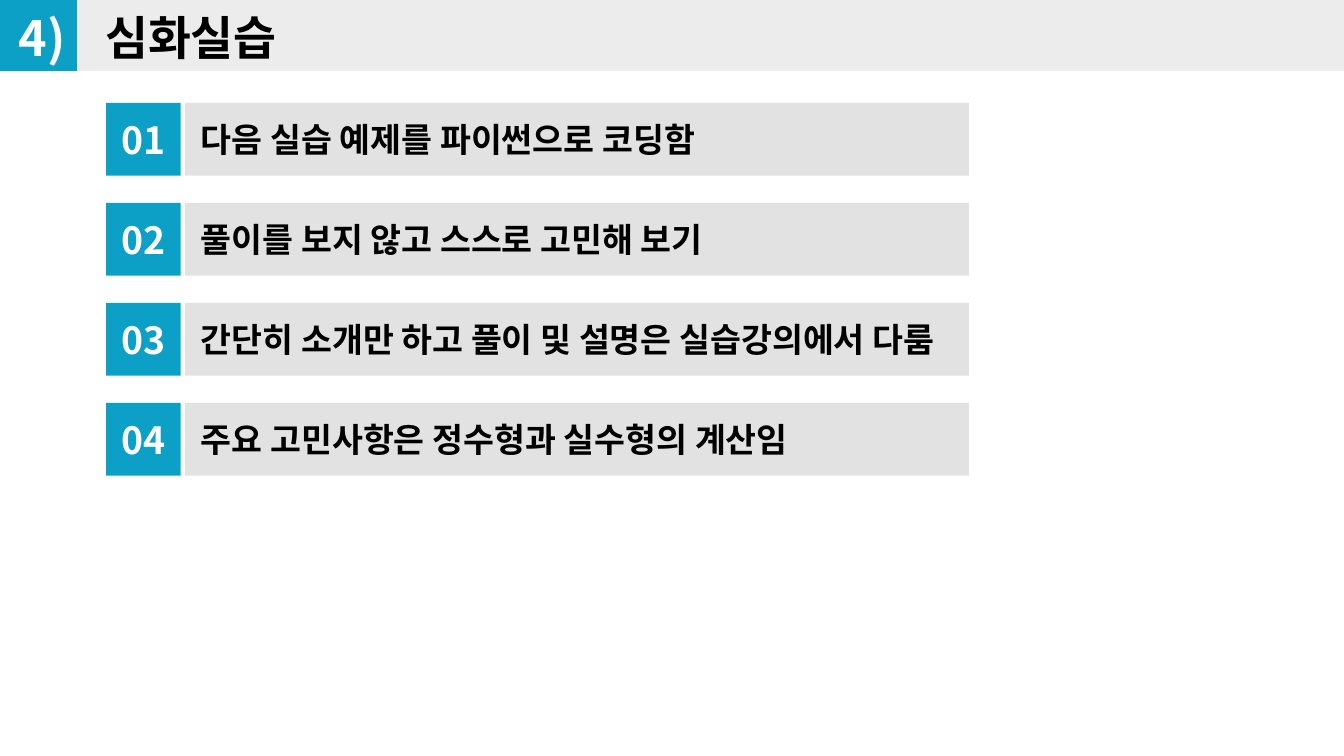
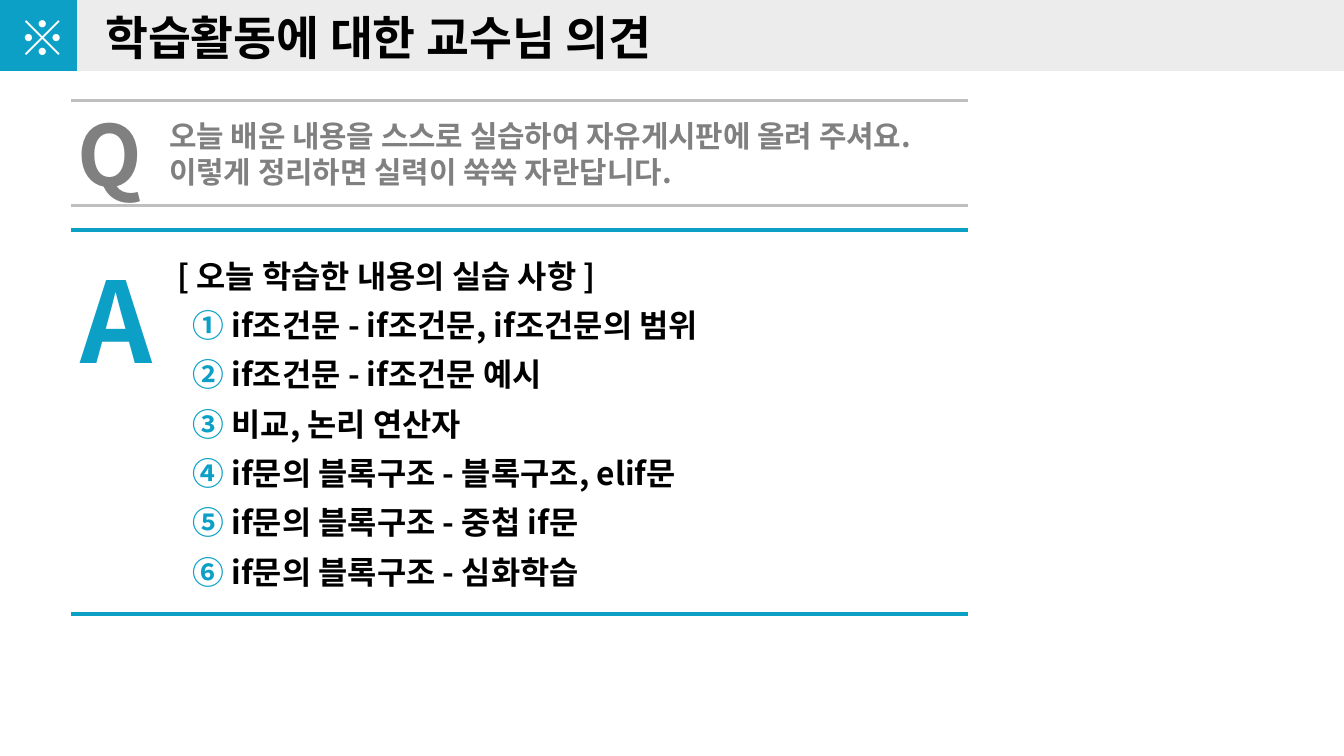
from lxml import etree
from pptx import Presentation
from pptx.dml.color import RGBColor
from pptx.enum import shapes, text
from pptx.oxml.ns import qn
from pptx.util import Pt

FONT = "Noto Sans CJK KR"
TEAL = RGBColor(0x0C, 0xA0, 0xC7)
BAND_GRAY = RGBColor(0xEC, 0xEC, 0xEC)
BAR_GRAY = RGBColor(0xE2, 0xE2, 0xE2)
RULE_GRAY = RGBColor(0xBF, 0xBF, 0xBF)
QUESTION_GRAY = RGBColor(0x80, 0x80, 0x80)
BLACK = RGBColor(0, 0, 0)
WHITE = RGBColor(0xFF, 0xFF, 0xFF)
LEFT, CENTER = text.PP_ALIGN.LEFT, text.PP_ALIGN.CENTER
TOP, MIDDLE = text.MSO_ANCHOR.TOP, text.MSO_ANCHOR.MIDDLE


def write(shape, *lines, size, color=BLACK, align=LEFT, anchor=TOP, inset=(10, 5), numbered_from=None):
    """Fill a shape with one paragraph per line; number those from the given index on."""
    frame = shape.text_frame
    frame.word_wrap = True
    frame.auto_size = text.MSO_AUTO_SIZE.NONE
    frame.vertical_anchor = anchor
    frame.margin_left = frame.margin_right = Pt(inset[0])
    frame.margin_top = frame.margin_bottom = Pt(inset[1])
    for i, line in enumerate(lines):
        para = frame.add_paragraph() if i else frame.paragraphs[0]
        para.text = line
        para.alignment = align
        if i:
            para.space_before = Pt(6)
        if numbered_from is not None and i >= numbered_from:
            props = para._p.get_or_add_pPr()
            props.set("marL", str(Pt(29)))
            props.set("indent", str(-Pt(21)))
            bullet_color = etree.SubElement(props, qn("a:buClr"))
            etree.SubElement(bullet_color, qn("a:srgbClr"), val=str(TEAL))
            etree.SubElement(props, qn("a:buAutoNum"), type="circleNumDbPlain")
        for run in para.runs:
            run.font.name = FONT
            run.font.size = Pt(size)
            run.font.bold = True
            run.font.color.rgb = color
            etree.SubElement(run._r.get_or_add_rPr(), qn("a:ea"), typeface=FONT)


def add_block(slide, x, y, w, h, fill):
    block = slide.shapes.add_shape(shapes.MSO_SHAPE.RECTANGLE, Pt(x), Pt(y), Pt(w), Pt(h))
    block.shadow.inherit = False
    block.fill.solid()
    block.fill.fore_color.rgb = fill
    block.line.fill.background()
    return block


prs = Presentation()
prs.slide_width, prs.slide_height = Pt(720), Pt(405)
title_only = prs.slide_layouts[5]

# Header: band, marker block, title and marker on every slide
slides = []
for marker, heading in [("4)", "심화실습"), ("※", "학습활동에 대한 교수님 의견")]:
    slide = prs.slides.add_slide(title_only)
    add_block(slide, 41, -0.5, 679, 38.5, BAND_GRAY)
    add_block(slide, -0.5, -0.5, 41.75, 38.5, TEAL)
    title = slide.shapes.title
    title.left, title.top, title.width, title.height = Pt(46.4), Pt(0), Pt(642), Pt(40)
    write(title, heading, size=25)
    title.element.getparent().append(title.element)  # in front of the band
    marker_box = slide.shapes.add_textbox(Pt(-1), Pt(-0.5), Pt(47.5), Pt(41.5))
    write(marker_box, marker, size=26, color=WHITE, align=CENTER)
    slides.append(slide)
practice, opinion = slides

# Practice steps
steps = [
    "다음 실습 예제를 파이썬으로 코딩함",
    "풀이를 보지 않고 스스로 고민해 보기",
    "간단히 소개만 하고 풀이 및 설명은 실습강의에서 다룸",
    "주요 고민사항은 정수형과 실수형의 계산임",
]
for i, step in enumerate(steps):
    y = 55.2 + i * 53.57
    number = add_block(practice, 56.8, y, 40, 39, TEAL)
    write(number, f"{i + 1:02}", size=20, color=WHITE, align=CENTER, anchor=MIDDLE, inset=(7.2, 3.6))
    bar = add_block(practice, 99, y, 420, 39, BAR_GRAY)
    write(bar, step, size=18, anchor=MIDDLE, inset=(8.6, 3.6))

# Rules around the question and the answer
for y, color, width in [(53.8, RULE_GRAY, 1.5), (110.3, RULE_GRAY, 1.5),
                        (123.2, TEAL, 2.25), (328.9, TEAL, 2.25)]:
    rule = opinion.shapes.add_connector(shapes.MSO_CONNECTOR.STRAIGHT, Pt(38), Pt(y), Pt(518.5), Pt(y))
    rule.line.color.rgb = color
    rule.line.width = Pt(width)
    etree.SubElement(rule.element.spPr, qn("a:effectLst"))

# Question and answer
letter_q = opinion.shapes.add_textbox(Pt(31.7), Pt(49.7), Pt(53.3), Pt(65))
write(letter_q, "Q", size=45, color=QUESTION_GRAY)
question = opinion.shapes.add_textbox(Pt(80.6), Pt(57.6), Pt(447), Pt(49))
write(question, "오늘 배운 내용을 스스로 실습하여 자유게시판에 올려 주셔요.\v이렇게 정리하면 실력이 쑥쑥 자란답니다.",
      size=16, color=QUESTION_GRAY, anchor=MIDDLE)
letter_a = opinion.shapes.add_textbox(Pt(33), Pt(129.6), Pt(57.6), Pt(83))
write(letter_a, "A", size=60, color=TEAL)
answer = opinion.shapes.add_textbox(Pt(85), Pt(132.5), Pt(434), Pt(191))
write(answer,
      "[ 오늘 학습한 내용의 실습 사항 ]",
      "if조건문 - if조건문, if조건문의 범위",
      "if조건문 - if조건문 예시",
      "비교, 논리 연산자",
      "if문의 블록구조 - 블록구조, elif문",
      "if문의 블록구조 - 중첩 if문",
      "if문의 블록구조 - 심화학습",
      size=17, numbered_from=1)

prs.save("out.pptx")
